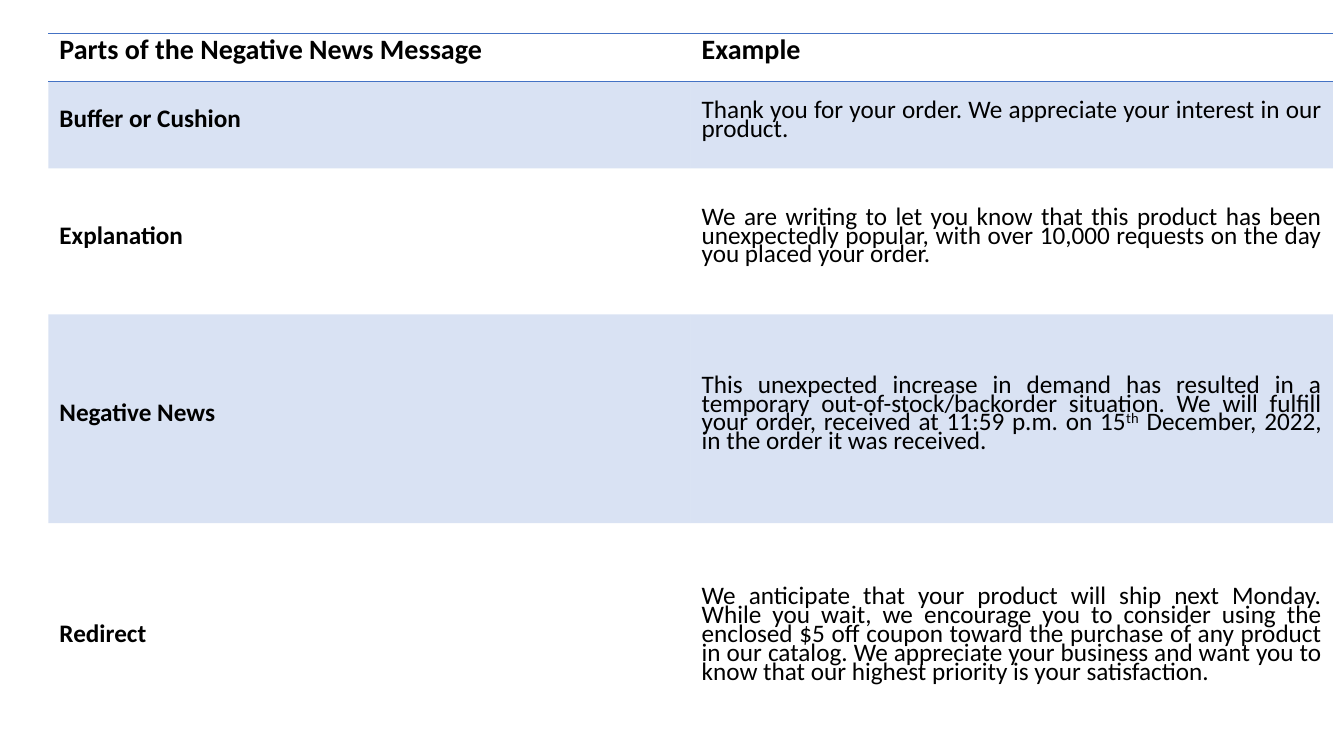
from dataclasses import dataclass

from lxml import etree
from pptx import Presentation
from pptx.dml.color import RGBColor
from pptx.enum.text import MSO_ANCHOR, PP_ALIGN
from pptx.oxml.ns import qn
from pptx.util import Inches, Pt

MIDDLE = MSO_ANCHOR.MIDDLE
JUSTIFY = PP_ALIGN.JUSTIFY
PLAIN_STYLE = "{2D5ABB26-0587-4C30-8999-92F81FD0307C}"


@dataclass(frozen=True)
class Theme:
    font: str = "Calibri"
    ink: str = "000000"
    blue: str = "4472C4"
    tint: int = 20
    head: int = 20
    body: int = 18
    lead: float = 13.5
    rule: int = 1


THEME = Theme()
COLS = (6.37, 6.37)
HEIGHTS = (0.48, 0.86, 1.45, 2.07, 2.32)

# Each cell is a list of text runs; "th" is raised
ROWS = [
    (["Parts of the Negative News Message"], ["Example"]),
    (["Buffer or Cushion"],
     ["Thank you for your order. We appreciate your interest in our product."]),
    (["Explanation"],
     ["We are writing to let you know that this product has been unexpectedly "
      "popular, with over 10,000 requests on the day you placed your order."]),
    (["Negative News"],
     ["This unexpected increase in demand has resulted in a temporary "
      "out-of-stock/backorder situation. We will fulfill your order, received "
      "at 11:59 p.m. on 15", "th",
      " December, 2022, in the order it was received."]),
    (["Redirect"],
     ["We anticipate that your product will ship next Monday. While you wait, "
      "we encourage you to consider using the enclosed $5 off coupon toward "
      "the purchase of any product in our catalog. We appreciate your business "
      "and want you to know that our highest priority is your satisfaction."]),
]


def add_rule(cell, edge):
    props = cell._tc.get_or_add_tcPr()
    line = etree.SubElement(props, qn(f"a:{edge}"), w=str(Pt(THEME.rule)))
    fill = etree.SubElement(line, qn("a:solidFill"))
    etree.SubElement(fill, qn("a:srgbClr"), val=THEME.blue)


def set_fill(cell, shaded):
    if not shaded:
        cell.fill.background()
        return
    cell.fill.solid()
    cell.fill.fore_color.rgb = RGBColor.from_string(THEME.blue)
    color = cell._tc.tcPr.find(f"{qn('a:solidFill')}/{qn('a:srgbClr')}")
    etree.SubElement(color, qn("a:alpha"), val=str(THEME.tint * 1000))


def set_text(cell, parts, size, bold):
    cell.vertical_anchor = MIDDLE
    cell.margin_left = cell.margin_right = Inches(0.11)
    cell.margin_top = cell.margin_bottom = Inches(0.09)
    para = cell.text_frame.paragraphs[0]
    para.alignment = JUSTIFY
    para.line_spacing = Pt(THEME.lead)
    for part in parts:
        run = para.add_run()
        run.text = part
        font = run.font
        font.name = THEME.font
        font.size = Pt(size)
        font.bold = bold
        font.color.rgb = RGBColor.from_string(THEME.ink)
        if part == "th":
            font._element.set("baseline", "30000")


def add_grid(slide):
    frame = slide.shapes.add_table(
        len(ROWS), len(COLS), Inches(0.48), Inches(0.33),
        Inches(sum(COLS)), Inches(sum(HEIGHTS)))
    frame.element.xpath(".//a:tableStyleId")[0].text = PLAIN_STYLE
    table = frame.table
    table.first_row = table.horz_banding = False
    for col, width in zip(table.columns, COLS):
        col.width = Inches(width)
    for row, height in zip(table.rows, HEIGHTS):
        row.height = Inches(height)

    # Rules frame the header and close the last row
    edges = {0: ("lnT", "lnB"), len(ROWS) - 1: ("lnB",)}
    for r, row in enumerate(ROWS):
        for c, parts in enumerate(row):
            cell = table.cell(r, c)
            size = THEME.head if r == 0 else THEME.body
            set_text(cell, parts, size, r == 0 or c == 0)
            for edge in edges.get(r, ()):
                add_rule(cell, edge)
            set_fill(cell, r % 2 == 1)


def main():
    deck = Presentation()
    deck.slide_width = Inches(13.33)
    deck.slide_height = Inches(7.5)
    slide = deck.slides.add_slide(deck.slide_layouts[6])
    add_grid(slide)
    deck.save("out.pptx")


if __name__ == "__main__":
    main()
